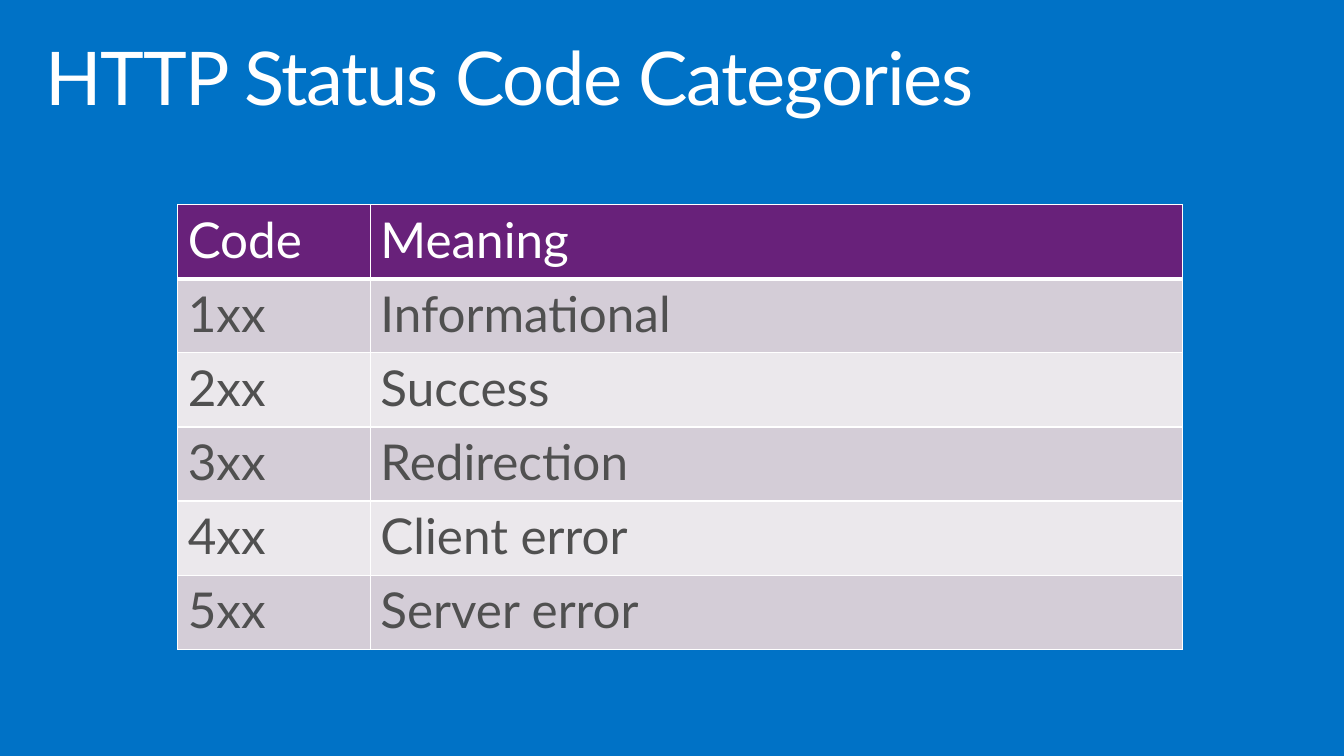
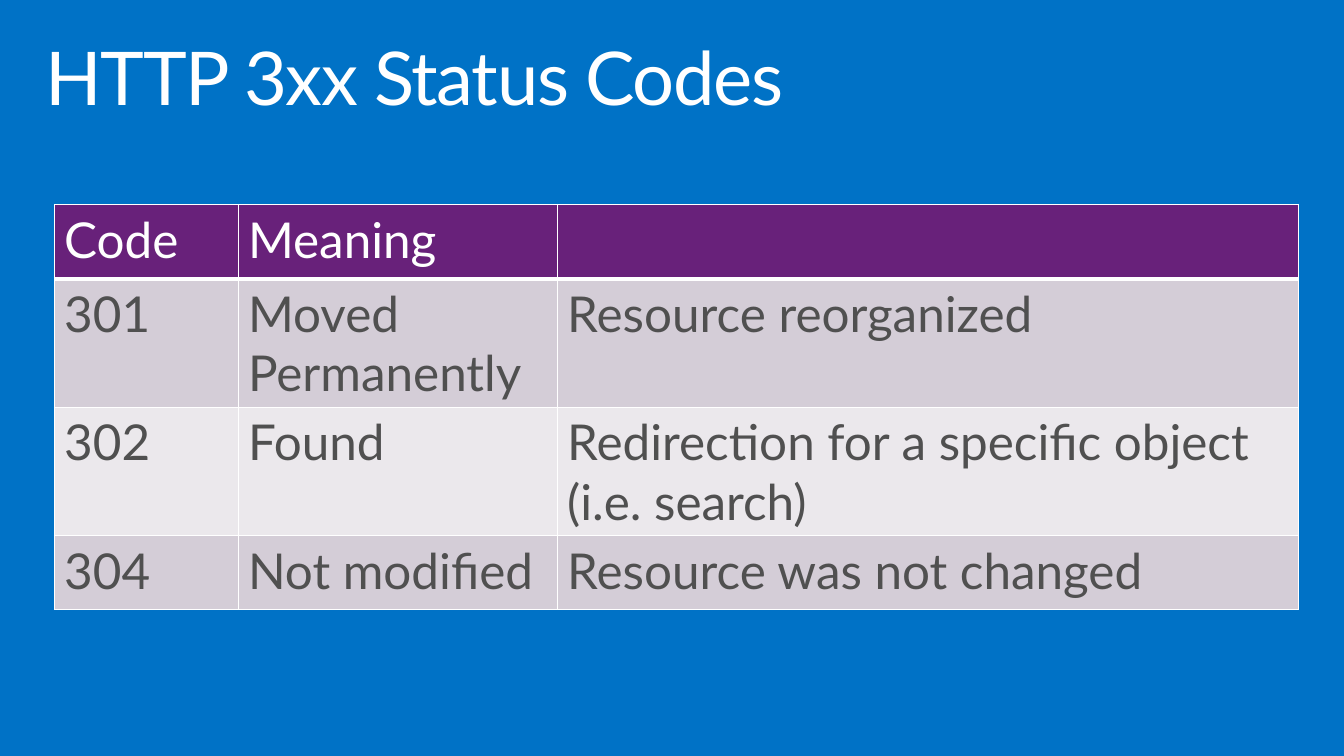
from dataclasses import dataclass

from pptx import Presentation
from pptx.dml.color import RGBColor
from pptx.enum.text import MSO_ANCHOR, MSO_AUTO_SIZE, PP_ALIGN
from pptx.oxml import parse_xml
from pptx.oxml.ns import nsdecls
from pptx.slide import Slide, SlideLayout
from pptx.table import _Cell
from pptx.text.text import _Run
from pptx.util import Inches, Pt

BLUE = RGBColor(0x00, 0x72, 0xC6)
PURPLE = RGBColor(0x68, 0x21, 0x7A)
DARK_BAND = RGBColor(0xD4, 0xCD, 0xD7)
LIGHT_BAND = RGBColor(0xEB, 0xE8, 0xEC)
GREY = RGBColor(0x50, 0x50, 0x50)
WHITE = RGBColor(0xFF, 0xFF, 0xFF)

FONT = "Lato"
TABLE_TOP = 2.07
ROW_HEIGHT = 0.75
TWO_LINE_HEIGHT = 1.3


@dataclass(frozen=True)
class Row:
    texts: tuple[str, ...]
    height: float = ROW_HEIGHT


@dataclass(frozen=True)
class StatusSlide:
    title: str
    left: float
    col_widths: tuple[float, ...]
    rows: tuple[Row, ...]


SLIDES = (
    StatusSlide("HTTP Status Code Categories", 1.8, (1.95, 8.22), (
        Row(("Code", "Meaning")),
        Row(("1xx", "Informational")),
        Row(("2xx", "Success")),
        Row(("3xx", "Redirection")),
        Row(("4xx", "Client error")),
        Row(("5xx", "Server error")),
    )),
    StatusSlide("HTTP 3xx Status Codes", 0.55, (1.86, 3.23, 7.5), (
        Row(("Code", "Meaning", "")),
        Row(("301", "Moved Permanently", "Resource reorganized"), TWO_LINE_HEIGHT),
        Row(("302", "Found", "Redirection for a specific object (i.e. search)"),
            TWO_LINE_HEIGHT),
        Row(("304", "Not modified", "Resource was not changed")),
    )),
)


def format_run(r: _Run, size: int, color: RGBColor) -> None:
    r.font.name = FONT
    r.font.size = Pt(size)
    r.font.color.rgb = color


def style_layout(layout: SlideLayout) -> None:
    """Set the background and title box that every slide inherits."""
    fill = layout.slide_master.background.fill
    fill.solid()
    fill.fore_color.rgb = BLUE
    title = layout.placeholders[0]
    title.left, title.top = Inches(0.3), Inches(0.32)
    title.width, title.height = Inches(13), Inches(1)
    tf = title.text_frame
    tf.margin_left = tf.margin_right = Inches(0.16)
    tf.margin_top = tf.margin_bottom = Inches(0.1)
    tf.vertical_anchor = MSO_ANCHOR.TOP
    tf.auto_size = MSO_AUTO_SIZE.NONE


def add_title(s: Slide, text: str) -> None:
    s.shapes.title.text_frame.text = text
    p = s.shapes.title.text_frame.paragraphs[0]
    p.alignment = PP_ALIGN.LEFT
    p.line_spacing = 0.9
    r = p.runs[0]
    format_run(r, 54, WHITE)
    r._r.get_or_add_rPr().set("spc", "-100")


def add_borders(cell: _Cell, bottom: int) -> None:
    """Draw white 1 pt borders, with the bottom one as wide as given in points."""
    tc_pr = cell._tc.get_or_add_tcPr()
    for side, width in (("L", 1), ("R", 1), ("T", 1), ("B", bottom)):
        tc_pr.append(parse_xml(
            f'<a:ln{side} {nsdecls("a")} w="{Pt(width)}"><a:solidFill>'
            f'<a:srgbClr val="{WHITE}"/></a:solidFill></a:ln{side}>'))


def fill_cell(cell: _Cell, text: str, row_index: int) -> None:
    header = row_index == 0
    add_borders(cell, bottom=3 if header else 1)
    cell.fill.solid()
    band = DARK_BAND if row_index % 2 else LIGHT_BAND
    cell.fill.fore_color.rgb = PURPLE if header else band
    cell.text_frame.text = text
    for r in cell.text_frame.paragraphs[0].runs:
        format_run(r, 36, WHITE if header else GREY)
        r.font.bold = False


def add_status_table(s: Slide, spec: StatusSlide) -> None:
    height = sum(row.height for row in spec.rows)
    table = s.shapes.add_table(
        len(spec.rows), len(spec.col_widths), Inches(spec.left), Inches(TABLE_TOP),
        Inches(sum(spec.col_widths)), Inches(height)).table
    for column, width in zip(table.columns, spec.col_widths):
        column.width = Inches(width)
    for i, row in enumerate(spec.rows):
        table.rows[i].height = Inches(row.height)
        for j, text in enumerate(row.texts):
            fill_cell(table.cell(i, j), text, i)


def main() -> None:
    prs = Presentation()
    prs.slide_width, prs.slide_height = Inches(13.6), Inches(7.65)
    layout = prs.slide_layouts.get_by_name("Title Only")
    style_layout(layout)
    for spec in SLIDES:
        s = prs.slides.add_slide(layout)
        add_title(s, spec.title)
        add_status_table(s, spec)
    prs.save("out.pptx")


if __name__ == "__main__":
    main()
